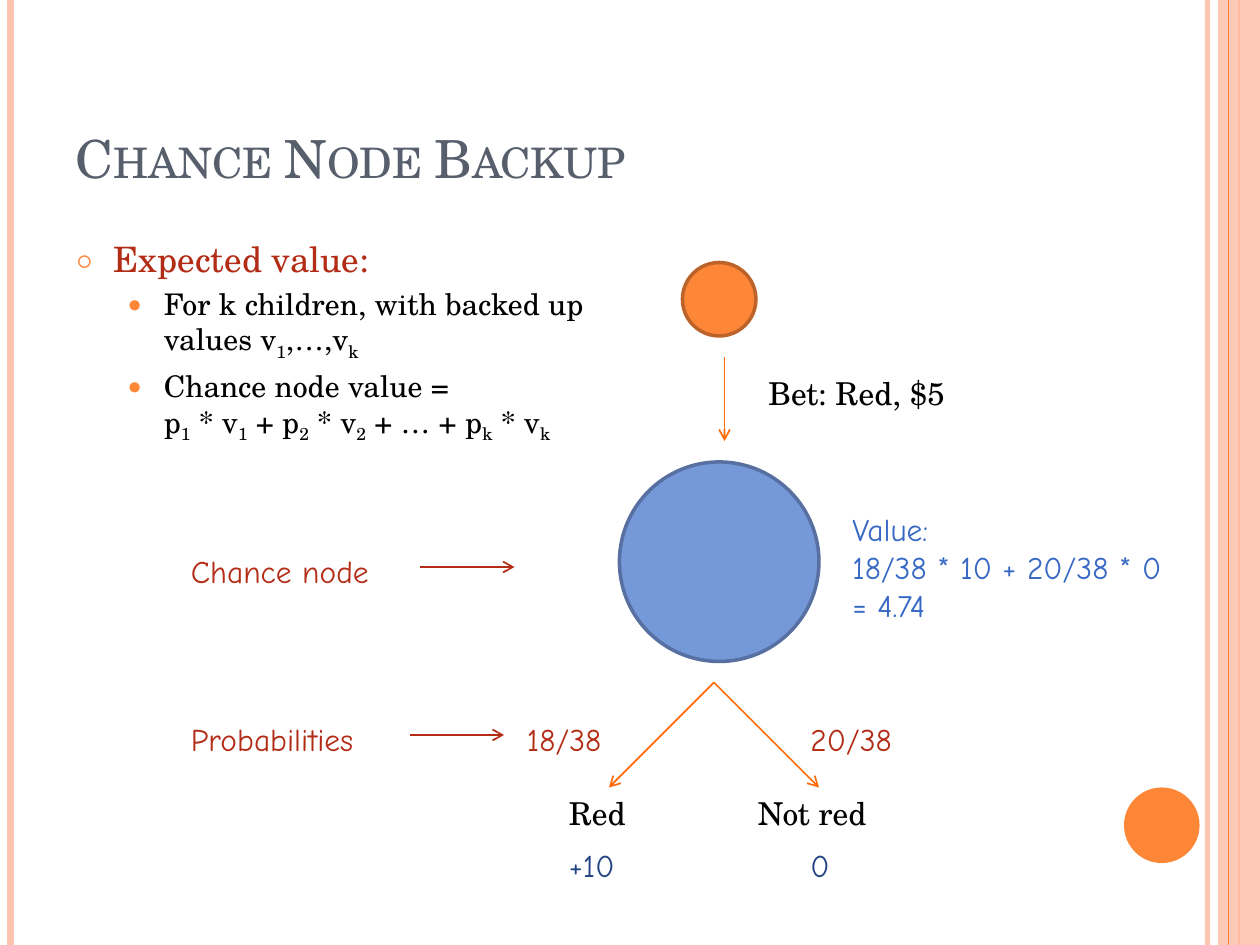
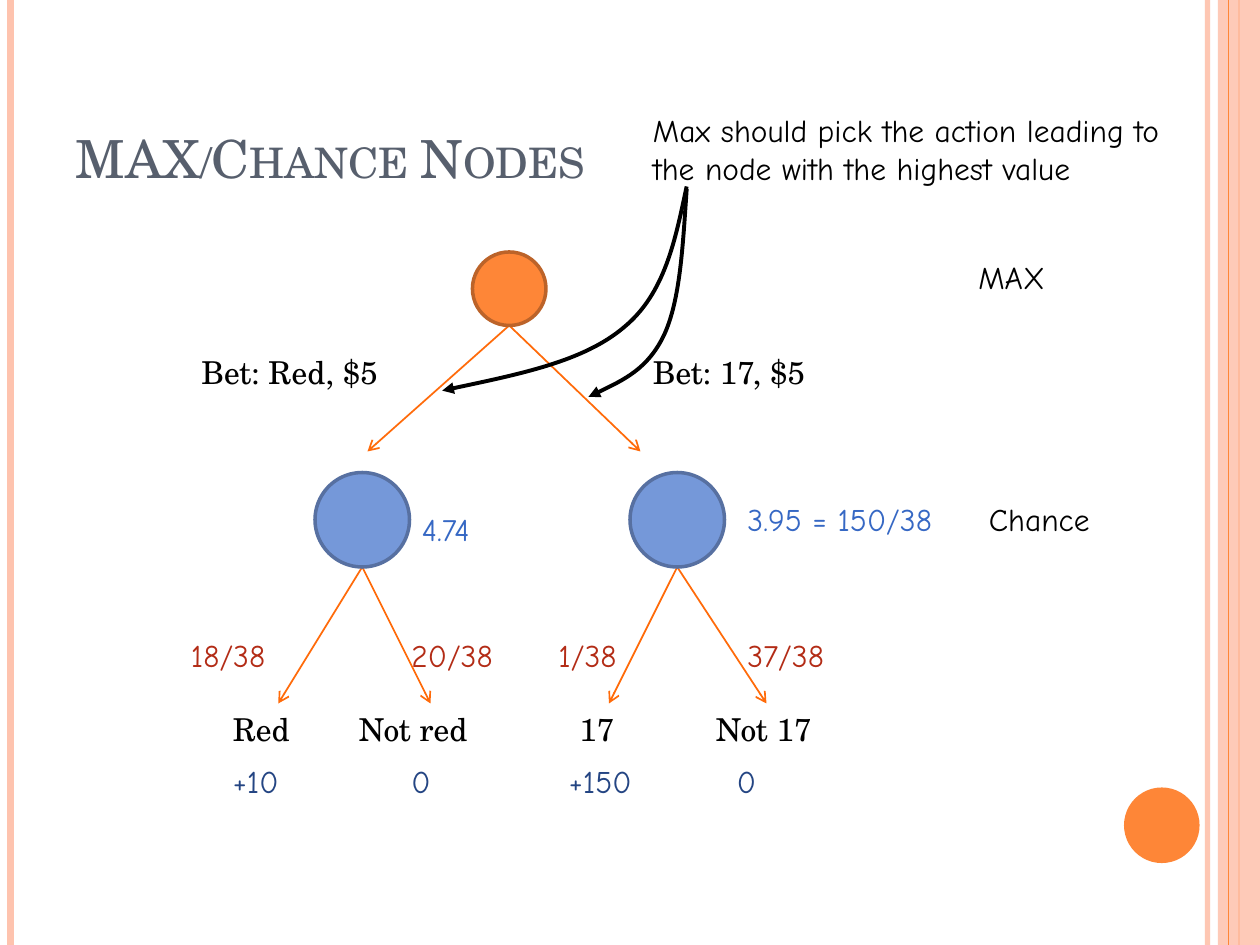
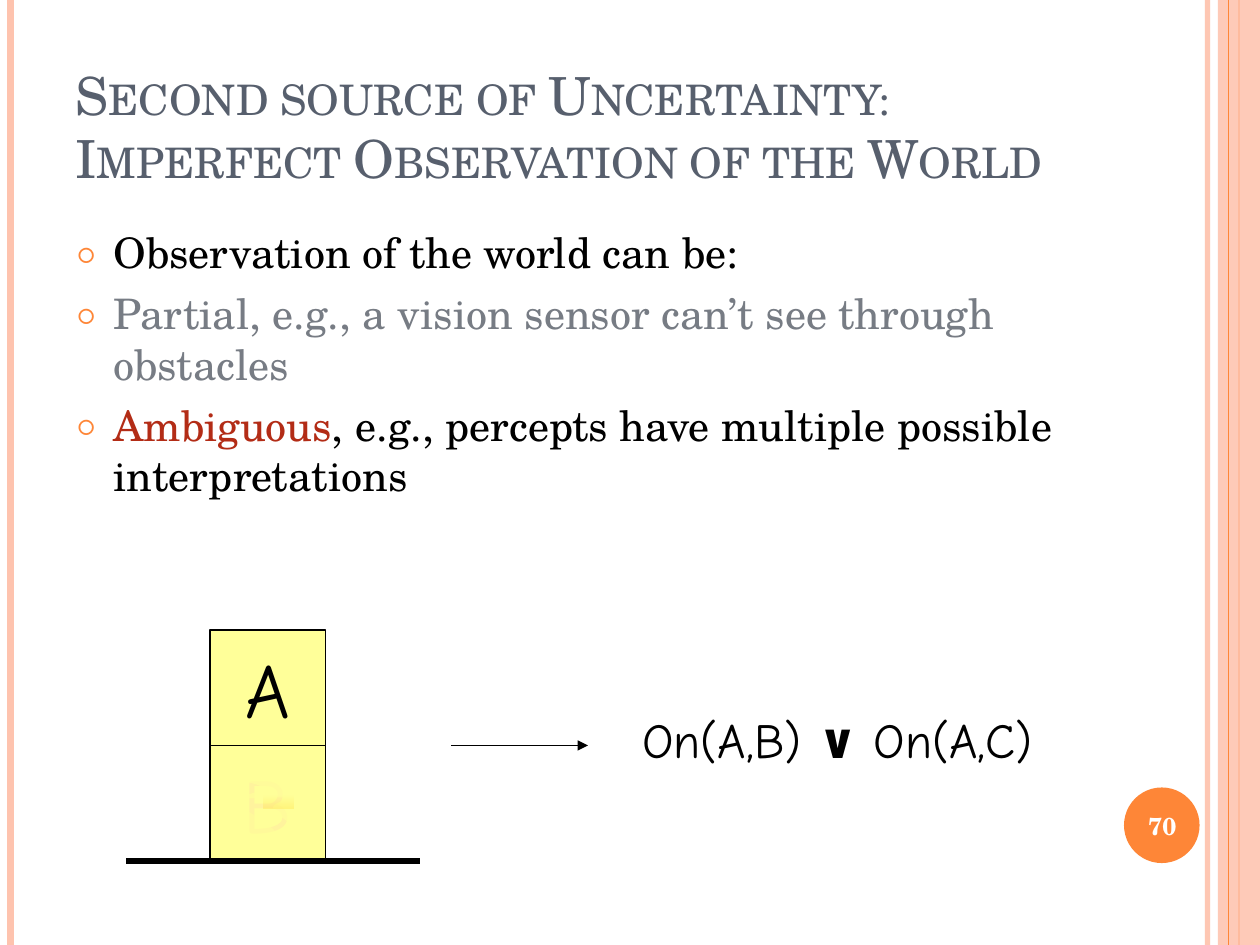
"""Build three slides on chance nodes and uncertain observation."""
from lxml.etree import SubElement as Sub
from pptx import Presentation
from pptx.dml.color import RGBColor
from pptx.enum.shapes import MSO_CONNECTOR as Conn, MSO_SHAPE as Kind
from pptx.enum.text import MSO_ANCHOR as Anchor, MSO_AUTO_SIZE as Auto, PP_ALIGN as Align
from pptx.oxml import parse_xml
from pptx.oxml.ns import nsdecls, qn
from pptx.util import Inches, Pt

CELL = Inches(1) / 12
COLS, ROWS = 120, 90
SERIF, HAND = "TeX Gyre Schola", "Comic Neue"
BLACK = RGBColor(0, 0, 0)
WHITE = RGBColor(255, 255, 255)
SLATE = RGBColor(0x57, 0x5F, 0x6D)
GRAY = RGBColor(0x77, 0x7C, 0x84)
PEACH = RGBColor(0xFE, 0xC3, 0xAE)
ORANGE = RGBColor(0xFE, 0x86, 0x37)
RUST = RGBColor(0xBC, 0x63, 0x29)
FLAME = RGBColor(0xFF, 0x6B, 0x0A)
RED = RGBColor(0xB3, 0x2C, 0x16)
SKY = RGBColor(0x75, 0x98, 0xD9)
STEEL = RGBColor(0x57, 0x70, 0xA1)
BLUE = RGBColor(0x36, 0x68, 0xC4)
NAVY = RGBColor(0x24, 0x45, 0x83)
LEMON = RGBColor(0xFF, 0xFF, 0x99)
CREAM = RGBColor(0xFF, 0xF3, 0x9D)
GOLD = RGBColor(0xFF, 0xCC, 0x00)


def link(slide, ends, tint, width, head=None):
    line = slide.shapes.add_connector(Conn.STRAIGHT, *[int(v * CELL) for v in ends])
    line.line.color.rgb = tint
    line.line.width = Pt(width)
    props = line.element.spPr
    if head:
        Sub(props.find(qn("a:ln")), qn("a:tailEnd"), type=head)
    Sub(props, qn("a:effectLst"))
    return line


def form(slide, kind, box, fill, edge=None, width=2):
    item = slide.shapes.add_shape(kind, *[int(v * CELL) for v in box])
    item.shadow.inherit = False
    item.fill.solid()
    item.fill.fore_color.rgb = fill
    if edge is None:
        item.line.fill.background()
    else:
        item.line.color.rgb = edge
        item.line.width = Pt(width)
    return item


deck = Presentation()
deck.slide_width, deck.slide_height = int(COLS * CELL), int(ROWS * CELL)
master = deck.slide_master
backup, nodes, world = [deck.slides.add_slide(deck.slide_layouts[n]) for n in (1, 5, 1)]

for hold, box in zip(master.placeholders, [(6, 3.6, 98, 15), (6, 21, 98, 64)]):
    hold.left, hold.top, hold.width, hold.height = [int(v * CELL) for v in box]
    hold.text_frame.auto_size = Auto.NONE
master.placeholders[0].text_frame.vertical_anchor = Anchor.BOTTOM

styles = [
    ("p:titleStyle", 1, 0, 0, '<a:spcPct val="0"/>', "<a:buNone/>", 30, SLATE, "small"),
    ("p:bodyStyle", 1, 0.3, -0.3, '<a:spcPts val="600"/>', (70, "○"), 24, BLACK, "none"),
    ("p:bodyStyle", 2, 0.7, -0.3, '<a:spcPct val="20000"/>', (80, "●"), 17, BLACK, "none"),
]
for group, level, left, dent, gap, mark, size, tint, caps in styles:
    if group == "p:bodyStyle":
        mark = (f'<a:buClr><a:srgbClr val="{ORANGE}"/></a:buClr><a:buSzPct val="{mark[0]}000"/>'
                f'<a:buFont typeface="{SERIF}"/><a:buChar char="{mark[1]}"/>')
    tag = f"a:lvl{level}pPr"
    old = next(master.element.iter(qn(group))).find(qn(tag))
    old.getparent().replace(old, parse_xml(
        f'<{tag} {nsdecls("a")} marL="{Inches(left)}" indent="{Inches(dent)}" algn="l">'
        f'<a:spcBef>{gap}</a:spcBef>{mark}<a:defRPr sz="{size}00" cap="{caps}"><a:solidFill>'
        f'<a:srgbClr val="{tint}"/></a:solidFill><a:latin typeface="{SERIF}"/></a:defRPr></{tag}>'))

rails = [link(backup, (x, 0, x, ROWS), tint, width)
         for x, tint, width in [(115, PEACH, 3), (1, PEACH, 4.5), (118, ORANGE, 1.5), (117, ORANGE, 0.75)]]
band = form(backup, Kind.RECTANGLE, (116, 0, 4, ROWS), PEACH)
badge = form(backup, Kind.OVAL, (107.05, 75, 7.2, 7.2), ORANGE)
for item, alpha in [(rails[0], 93), (band, 87)]:
    Sub(next(item.element.iter(qn("a:srgbClr"))), qn("a:alpha"), val=f"{alpha}000")
for n, item in enumerate([*rails[:3], band, rails[3], badge]):
    next(item.element.iter(qn("p:cNvPr"))).set("id", str(20 + n))
    master.shapes.element.insert(2 + n, item.element)

backup.shapes.title.text = "Chance Node Backup"
nodes.shapes.title.text = "MAX/Chance Nodes"
world.shapes.title.text = "Second source of Uncertainty:\vImperfect Observation of the World"

body = backup.placeholders[1]
body.left, body.top, body.width, body.height = [int(v * CELL) for v in (6, 22, 56, 64)]
para = body.text_frame.paragraphs[0]
para.text = "Expected value:"
para.font.size = Pt(20)
para.font.color.rgb = RED
for text in ["For k children, with backed up values v_1,…,v_k",
             "Chance node value =\np_1 * v_1 + p_2 * v_2 + … + p_k * v_k"]:
    para = body.text_frame.add_paragraph()
    para.level = 1
    for n, line in enumerate(text.splitlines()):
        if n:
            para.add_line_break()
        first, *rest = line.split("_")
        para.add_run().text = first
        for part in rest:
            sub = para.add_run()
            sub.text = part[0]
            sub.font.italic = False
            sub.font._element.set("baseline", "-25000")
            if part[1:]:
                para.add_run().text = part[1:]

frame = world.placeholders[1].text_frame
points = [
    [("Observation of the world can be:", BLACK)],
    [("Partial, e.g., a vision sensor can’t see through obstacles", GRAY)],
    [("Ambiguous", RED), (", e.g., percepts have multiple possible interpretations", BLACK)],
]
for n, parts in enumerate(points):
    para = frame.add_paragraph() if n else frame.paragraphs[0]
    for text, tint in parts:
        run = para.add_run()
        run.text = text
        run.font.color.rgb = tint

arrows = [
    (backup, FLAME, [(69, 34, 69, 42), (68, 65, 58, 75), (68, 65, 78, 75)]),
    (backup, RED, [(40, 54, 49, 54), (39, 70, 48, 70)]),
    (nodes, FLAME, [(48.5, 31, 35, 43), (48.5, 31, 61, 43), (34.5, 54, 26.5, 67),
                    (34.5, 54, 41, 67), (64.5, 54, 58, 67), (64.5, 54, 73, 67)]),
]
for slide, tint, lines in arrows:
    for ends in lines:
        link(slide, ends, tint, 1, "arrow")

discs = [
    (backup, 59, 44, 19, SKY, STEEL), (backup, 65, 25, 7, ORANGE, RUST),
    (nodes, 30, 45, 9, SKY, STEEL), (nodes, 60, 45, 9, SKY, STEEL), (nodes, 45, 24, 7, ORANGE, RUST),
]
for slide, x, y, size, fill, edge in discs:
    form(slide, Kind.OVAL, (x, y, size, size), fill, edge)

notes = [
    (backup, SERIF, BLACK, [("Red", 53, 75, 11), ("Not red", 71, 75, 16), ("Bet: Red, $5", 72, 35, 22)]),
    (backup, HAND, RED, [("Chance node", 17, 52, 28), ("Probabilities", 17, 68, 28),
                         ("18/38", 49, 68, 13), ("20/38", 76, 68, 14)]),
    (backup, HAND, NAVY, [("+10", 53, 80, 10), ("0", 76, 80, 10)]),
    (backup, HAND, BLUE, [("Value:\n18/38 * 10 + 20/38 * 0\n= 4.74", 80, 48, 35)]),
    (nodes, SERIF, BLACK, [("Bet: Red, $5", 18, 33, 22), ("Bet: 17, $5", 61, 33, 22), ("Red", 21, 67, 11),
                           ("Not red", 33, 67, 16), ("17", 54, 67, 8), ("Not 17", 67, 67, 12)]),
    (nodes, HAND, RED, [("18/38", 17, 60, 13), ("20/38", 38, 60, 14),
                        ("1/38", 52, 60, 13), ("37/38", 70, 60, 14)]),
    (nodes, HAND, NAVY, [("+10", 21, 72, 10), ("0", 38, 72, 10), ("+150", 53, 72, 10), ("0", 69, 72, 10)]),
    (nodes, HAND, BLUE, [("4.74", 39, 48, 35), ("3.95 = 150/38", 70, 47, 23)]),
    (nodes, HAND, BLACK, [("MAX", 92, 24, 13), ("Chance", 93, 47, 13),
                          ("Max should pick the action leading to the node with the highest value", 61, 10, 53)]),
]
for slide, face, tint, labels in notes:
    for text, x, y, width in labels:
        high = 12.1 if "\n" in text else 8.5 if width == 53 else 4.8
        note = slide.shapes.add_textbox(*[int(v * CELL) for v in (x, y, width, high)]).text_frame
        note.word_wrap = True
        note.auto_size = Auto.SHAPE_TO_FIT_TEXT
        note.text = text
        for para in note.paragraphs:
            para.font.name, para.font.size = face, Pt(18)
            para.font.color.rgb = tint

count = world.shapes.add_textbox(*[int(v * CELL) for v in (106.7, 75.2, 8, 6.8)]).text_frame
count.word_wrap = True
count.vertical_anchor = Anchor.MIDDLE
count.text = "70"
para = count.paragraphs[0]
para.alignment = Align.CENTER
para.font.name, para.font.size, para.font.bold = SERIF, Pt(14), True
para.font.color.rgb = WHITE

for n, (text, tint) in enumerate([("A", BLACK), ("B", CREAM)]):
    block = form(world, Kind.RECTANGLE, (20, 60 + 11 * n, 11, 11), LEMON, BLACK, 0.75).text_frame
    block.word_wrap = False
    block.vertical_anchor = Anchor.MIDDLE
    block.text = text
    para = block.paragraphs[0]
    para.alignment = Align.CENTER
    para.font.name, para.font.size = HAND, Pt(44)
    para.font.color.rgb = tint

curves = [
    (nodes, None, [(5.45, 1.48), (5.36, 1.9), (5.28, 2.33), (4.95, 2.6), (4.63, 2.87), (4.07, 2.98), (3.51, 3.1)]),
    (nodes, None, [(5.45, 1.5), (5.42, 1.94), (5.4, 2.38), (5.27, 2.66), (5.14, 2.93), (4.9, 3.04), (4.67, 3.15)]),
    (world, 53, [(1.92, 6.42), (1.96, 6.42), (2.12, 6.54), (2.17, 6.58), (2.21, 6.62), (2.21, 6.67), (2.17, 6.67),
                 (2.12, 6.67), (1.96, 6.62), (1.92, 6.58), (1.88, 6.54), (1.88, 6.42), (1.92, 6.42)]),
    (world, 74, [(1.92, 6.08), (1.88, 6.11), (1.81, 6.14), (1.83, 6.17), (1.86, 6.19), (2.07, 6.22), (2.08, 6.25),
                 (2.1, 6.28), (1.89, 6.32), (1.92, 6.33), (1.94, 6.35), (2.21, 6.32), (2.25, 6.33),
                 (2.29, 6.35), (2.14, 6.38), (2.17, 6.42), (2.19, 6.46), (2.39, 6.61), (2.42, 6.58),
                 (2.44, 6.56), (2.38, 6.32), (2.33, 6.25), (2.29, 6.18), (2.21, 6.21), (2.17, 6.17),
                 (2.12, 6.12), (2.12, 6.01), (2.08, 6), (2.04, 5.99), (1.96, 6.06), (1.92, 6.08)]),
]
for slide, alpha, knots in curves:
    start, *rest = [(Inches(x), Inches(y)) for x, y in knots]
    pen = slide.shapes.build_freeform(*start)
    curve = pen.add_line_segments(rest, close=alpha is not None).convert_to_shape()
    curve.shadow.inherit = False
    steps = list(curve.element.iter(qn("a:lnTo")))
    for k in range(0, len(rest), 3):
        bend = parse_xml(f'<a:cubicBezTo {nsdecls("a")}/>')
        steps[k].addprevious(bend)
        for step in steps[k:k + 3]:
            bend.append(step[0])
            step.getparent().remove(step)
    if alpha:
        curve.line.fill.background()
        curve.fill.solid()
        curve.fill.fore_color.rgb = LEMON
        Sub(next(curve.element.iter(qn("a:srgbClr"))), qn("a:alpha"), val=f"{alpha}000")
    else:
        curve.fill.background()
        curve.line.color.rgb = BLACK
        curve.line.width = Pt(2.25)
        Sub(curve.element.spPr.find(qn("a:ln")), qn("a:tailEnd"), type="triangle")

strip = form(world, Kind.RECTANGLE, (25.1, 75.8, 2.9, 1.2), LEMON)
strip.fill.gradient()
strip.fill.gradient_angle = 270
for stop, tint in zip(strip.fill.gradient_stops, (LEMON, GOLD)):
    stop.color.rgb = tint
for shade in strip.element.iter(qn("a:srgbClr")):
    Sub(shade, qn("a:alpha"), val="19000")

link(world, (12, 82, 40, 82), BLACK, 3)
link(world, (43, 71, 56, 71), BLACK, 0.75, "triangle")

claim = world.shapes.add_textbox(*[int(v * CELL) for v in (60, 67, 42.4, 6.8)]).text_frame
claim.word_wrap = False
claim.auto_size = Auto.SHAPE_TO_FIT_TEXT
para = claim.paragraphs[0]
para.font.name, para.font.size = HAND, Pt(28)
para.font.color.rgb = BLACK
for text in ["On(A,B) ", "∨", " On(A,C)"]:
    run = para.add_run()
    run.text = text
    run.font.bold = text == "∨"

deck.save("out.pptx")
